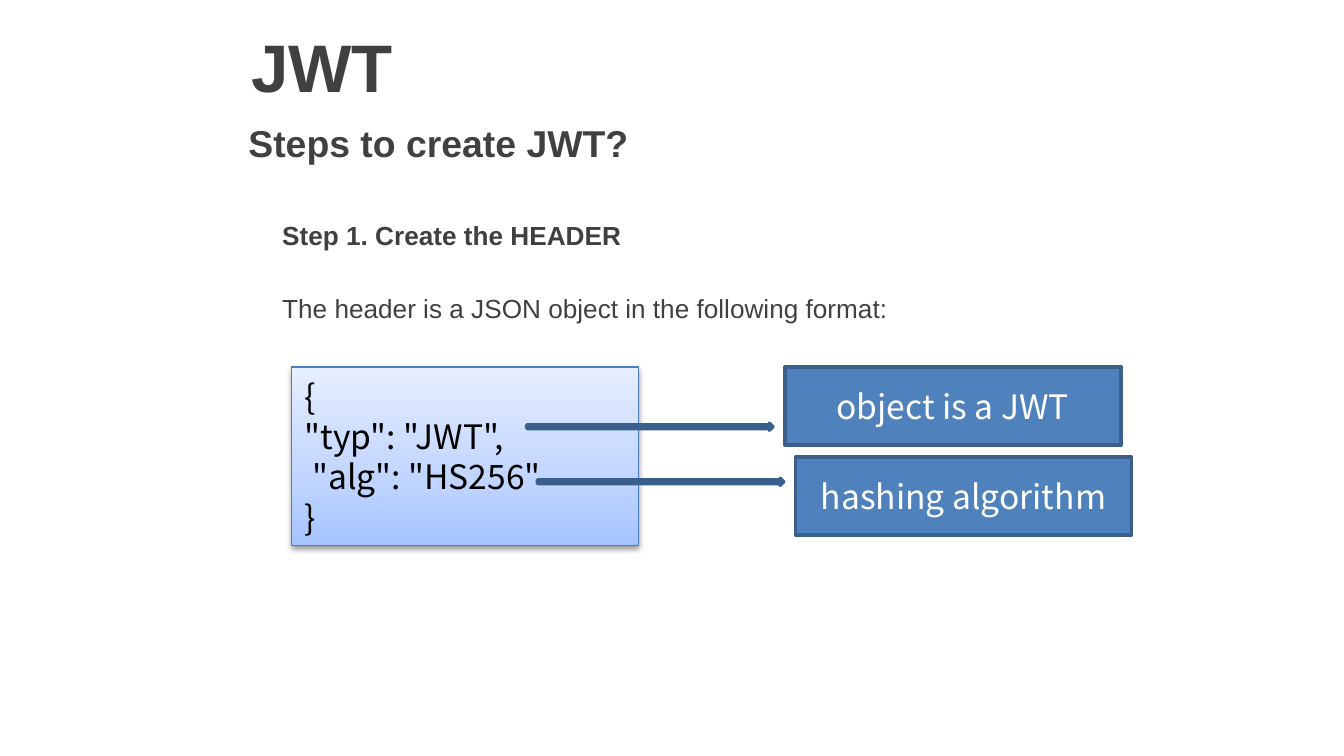
from copy import deepcopy

from lxml import etree
from pptx import Presentation
from pptx import util as u
from pptx.dml.color import RGBColor
from pptx.enum import shapes, text
from pptx.oxml.ns import qn

DARK = RGBColor(0x40, 0x40, 0x40)
BLACK = RGBColor(0, 0, 0)
WHITE = RGBColor(0xFF, 0xFF, 0xFF)
BLUE = RGBColor(0x4F, 0x81, 0xBD)
NAVY = RGBColor(0x3A, 0x5F, 0x8C)
EDGE = RGBColor(0x4B, 0x7E, 0xBC)
GRADIENT = [
    (0, RGBColor(0xA4, 0xC4, 0xFF)),
    (0.35, RGBColor(0xBF, 0xD4, 0xFF)),
    (1, RGBColor(0xE6, 0xEE, 0xFF)),
]
HEADING_FONT = "Arial"
CODE_FONT = "Noto Sans CJK KR"


def write(sp, lines, size, color=DARK, font=HEADING_FONT, bold=(), align=None,
          anchor=text.MSO_ANCHOR.MIDDLE, gap=0):
    """Write one paragraph per line; bold holds the indexes of bold lines."""
    tf = sp.text_frame
    tf.word_wrap = True
    tf.vertical_anchor = anchor
    for i, line in enumerate(lines):
        p = tf.paragraphs[0] if i == 0 else tf.add_paragraph()
        p.alignment = align or text.PP_ALIGN.LEFT
        p.space_before = u.Pt(gap if i else 0)
        r = p.add_run()
        r.text = line
        r.font.name = font
        r.font.size = u.Pt(size)
        r.font.bold = i in bold
        r.font.color.rgb = color
    return tf


def add_text(s, box, lines, size, **fmt):
    """Add a text box and return its text frame."""
    sp = s.shapes.add_textbox(*map(u.Inches, box))
    return write(sp, lines, size, **fmt)


def add_block(s, kind, box, line=NAVY, width=2):
    """Add a blue preset shape without a shadow."""
    sp = s.shapes.add_shape(kind, *map(u.Inches, box))
    sp.shadow.inherit = False
    sp.fill.solid()
    sp.fill.fore_color.rgb = BLUE
    sp.line.color.rgb = line
    sp.line.width = u.Pt(width)
    return sp


def add_headings(s, x, y):
    """Place the title and the subtitle."""
    add_text(s, (x + 0.02, y, 8.23, 0.97), ["JWT"], 36, bold=(0,))
    add_text(s, (x, y + 0.81, 7.56, 0.5), ["Steps to create JWT?"], 20, bold=(0,))


def add_step(s, box):
    """Place the step heading and its explanation."""
    lines = ["Step 1. Create the HEADER",
             "The header is a JSON object in the following format:"]
    tf = add_text(s, box, lines, 14, bold=(0,), anchor=text.MSO_ANCHOR.TOP, gap=22.4)
    tf.margin_left = u.Inches(0.43)
    tf.margin_top = u.Inches(0.32)


def add_code(s, box):
    """Place the JSON panel with its gradient and soft shadow."""
    sp = add_block(s, shapes.MSO_SHAPE.RECTANGLE, box, EDGE, 0.75)
    sp.fill.gradient()
    sp.fill.gradient_angle = 90
    stops = sp._element.spPr.find(qn("a:gradFill")).find(qn("a:gsLst"))
    stops.insert(1, deepcopy(stops[0]))
    for stop, (position, color) in zip(sp.fill.gradient_stops, GRADIENT):
        stop.position = position
        stop.color.rgb = color
    effects = sp._element.spPr.find(qn("a:effectLst"))
    shadow = etree.SubElement(effects, qn("a:outerShdw"), blurRad=str(u.Pt(3.1)),
                              dist=str(u.Pt(1.6)), dir="5400000", rotWithShape="0")
    tint = etree.SubElement(shadow, qn("a:srgbClr"), val=str(BLACK))
    etree.SubElement(tint, qn("a:alpha"), val="38000")
    write(sp, ["{", '"typ": "JWT",', ' "alg": "HS256"', "}"], 18,
          color=BLACK, font=CODE_FONT)


def add_callout(s, x, y, arrow_dy, label):
    """Place an arrow and the labelled box it points to."""
    add_block(s, shapes.MSO_SHAPE.RIGHT_ARROW, (x, y + arrow_dy, 1.83, 0.05))
    sp = add_block(s, shapes.MSO_SHAPE.RECTANGLE, (x + 1.92, y, 2.5, 0.58))
    write(sp, [label], 18, color=WHITE, font=CODE_FONT, align=text.PP_ALIGN.CENTER)


def main():
    """Build the slide."""
    prs = Presentation()
    prs.slide_width = u.Inches(10)
    prs.slide_height = prs.slide_width * 9 // 16
    s = prs.slides.add_slide(prs.slide_layouts[6])
    add_headings(s, 1.75, 0)
    add_step(s, (1.67, 1.31, 8.33, 3.28))
    add_code(s, (2.17, 2.73, 2.58, 1.33))
    add_callout(s, 3.92, 2.73, 0.42, "object is a JWT")
    add_callout(s, 4, 3.4, 0.16, "hashing algorithm")
    prs.save("out.pptx")


if __name__ == "__main__":
    main()
